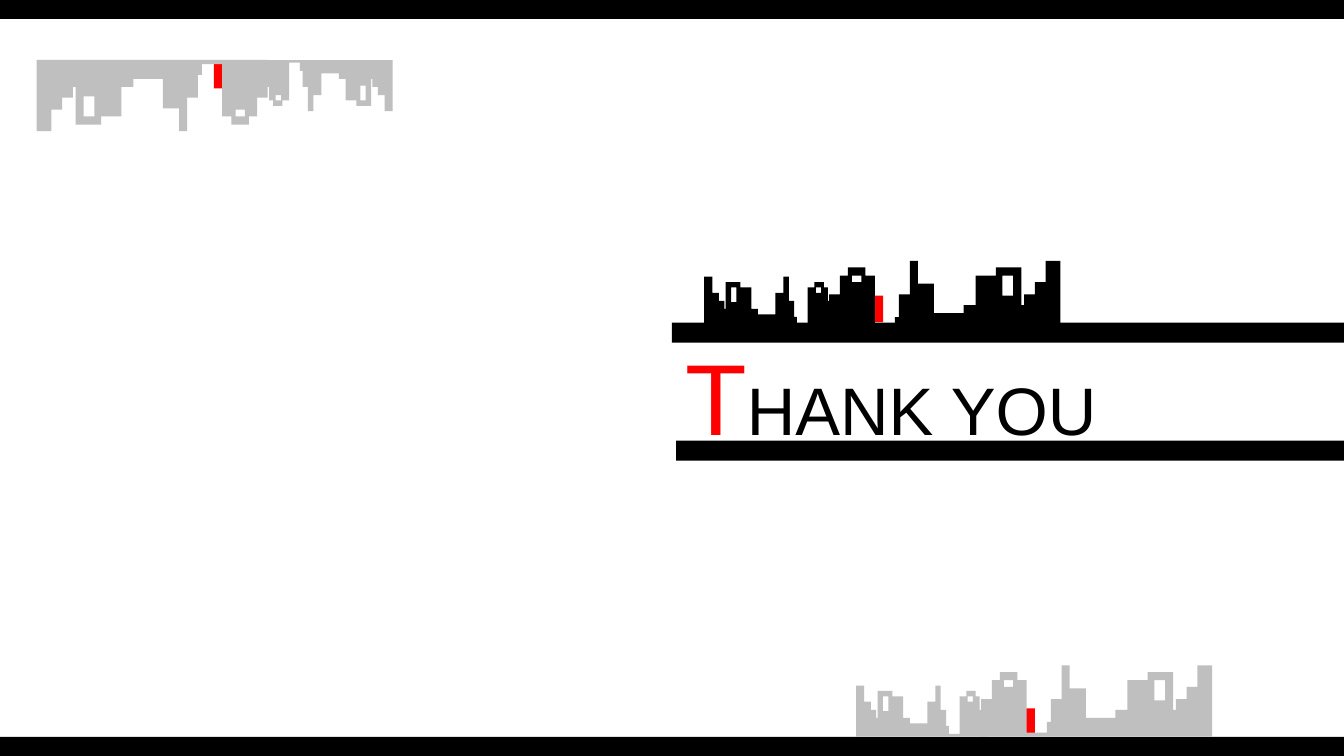
from dataclasses import dataclass

from pptx import Presentation
from pptx.dml.color import RGBColor
from pptx.enum.shapes import MSO_SHAPE
from pptx.enum.text import MSO_ANCHOR, MSO_AUTO_SIZE, PP_ALIGN
from pptx.util import Cm, Pt


@dataclass(frozen=True)
class Theme:
    ink: RGBColor = RGBColor(0, 0, 0)
    accent: RGBColor = RGBColor(255, 0, 0)
    pale: RGBColor = RGBColor(191, 191, 191)
    font: str = "Arial"
    initial: Pt = Pt(54)
    body: Pt = Pt(36)


THEME = Theme()
WIDTH, HEIGHT = Cm(25.4), Cm(14.29)
UNIT = Cm(0.0254)
EDGE = Cm(0.36)
SKYLINE_HEIGHT = Cm(1.35)

# Each step is the left edge of a roof and its depth below the tallest roof.
WEST_ROOFS = [(0, 0), (6, 12), (11, 18), (15, 24), (16, 4), (27, 8),
              (35, 24), (40, 28), (53, 12), (59, 0), (63, 18), (67, 30),
              (69, 36), (77, 8), (82, 4), (89, 8), (92, 18)]
WEST_WINDOWS = [(20, 8, 24, 19), (83, 8, 87, 12)]
EAST_ROOFS = [(0, 25), (8, 11), (14, 5), (27, 11), (34, 50), (49, 42),
              (52, 25), (60, 0), (66, 17), (78, 39), (100, 33), (109, 11),
              (124, 5), (143, 33), (145, 25), (153, 16), (161, 0)]
EAST_WINDOWS = [(17, 11, 24, 16), (129, 11, 137, 26)]


def paint(sp, color):
    sp.fill.solid()
    sp.fill.fore_color.rgb = color
    sp.line.fill.background()
    sp.shadow.inherit = False


def add_bar(shapes, left, top, width, height, color):
    sp = shapes.add_shape(MSO_SHAPE.RECTANGLE, left, top, width, height)
    paint(sp, color)


def add_towers(shapes, left, top, roofs, windows, right, base, color):
    ends = [x for x, _ in roofs[1:]] + [right]
    outline = [pt for (x, y), end in zip(roofs, ends) for pt in ((x, y), (end, y))]
    outline += [(right, base), (0, base)]
    builder = shapes.build_freeform(*outline[0], scale=UNIT)
    builder.add_line_segments(outline[1:], close=True)
    for x1, y1, x2, y2 in windows:
        builder.move_to(x1, y1)
        builder.add_line_segments([(x1, y2), (x2, y2), (x2, y1)], close=True)
    paint(builder.convert_to_shape(left, top), color)


def add_skyline(s, left, top, color, west_drop=Cm(0.38), door_drop=Cm(0.81), rotation=0):
    group = s.shapes.add_group_shape()
    add_bar(group.shapes, left + Cm(3.18), top + door_drop, Cm(0.2), Cm(0.5), THEME.accent)
    add_towers(group.shapes, left + Cm(2.36), top, EAST_ROOFS, EAST_WINDOWS, 172, 53, color)
    add_towers(group.shapes, left, top + west_drop, WEST_ROOFS, WEST_WINDOWS, 97, 38, color)
    group.rotation = rotation


def add_title(s, left, top, width, height):
    title = s.shapes.title
    title.left, title.top, title.width, title.height = left, top, width, height
    tf = title.text_frame
    tf.word_wrap = True
    tf.auto_size = MSO_AUTO_SIZE.NONE
    tf.vertical_anchor = MSO_ANCHOR.BOTTOM
    tf.margin_left = tf.margin_right = Cm(0.25)
    tf.margin_top, tf.margin_bottom = Cm(0.13), Cm(0.08)
    p = tf.paragraphs[0]
    p.alignment = PP_ALIGN.LEFT
    p.font.name = THEME.font
    for text, size, color in (("T", THEME.initial, THEME.accent),
                              ("HANK YOU", THEME.body, THEME.ink)):
        r = p.add_run()
        r.text = text
        r.font.size = size
        r.font.color.rgb = color


def add_banner(s, left, top):
    add_skyline(s, left + Cm(0.61), top - Cm(1.17), THEME.ink, Cm(0.3), Cm(0.66))
    add_title(s, left, top + Cm(0.08), Cm(9.96), Cm(2.51))
    for dx, dy in ((Cm(0.08), Cm(2.23)), (0, 0)):
        add_bar(s.shapes, left + dx, top + dy, WIDTH - left - dx, Cm(0.38), THEME.ink)


def add_frame(s, width, height):
    for top in (0, height - EDGE):
        add_bar(s.shapes, 0, top, width, EDGE, THEME.ink)
    add_skyline(s, Cm(16.18), height - EDGE - SKYLINE_HEIGHT, THEME.pale)
    add_skyline(s, Cm(0.86), EDGE, THEME.pale, rotation=180)


def main():
    prs = Presentation()
    prs.slide_width, prs.slide_height = WIDTH, HEIGHT
    s = prs.slides.add_slide(prs.slide_layouts[5])
    add_banner(s, Cm(12.7), Cm(6.1))
    add_frame(s, WIDTH, HEIGHT)
    prs.save("out.pptx")


if __name__ == "__main__":
    main()
